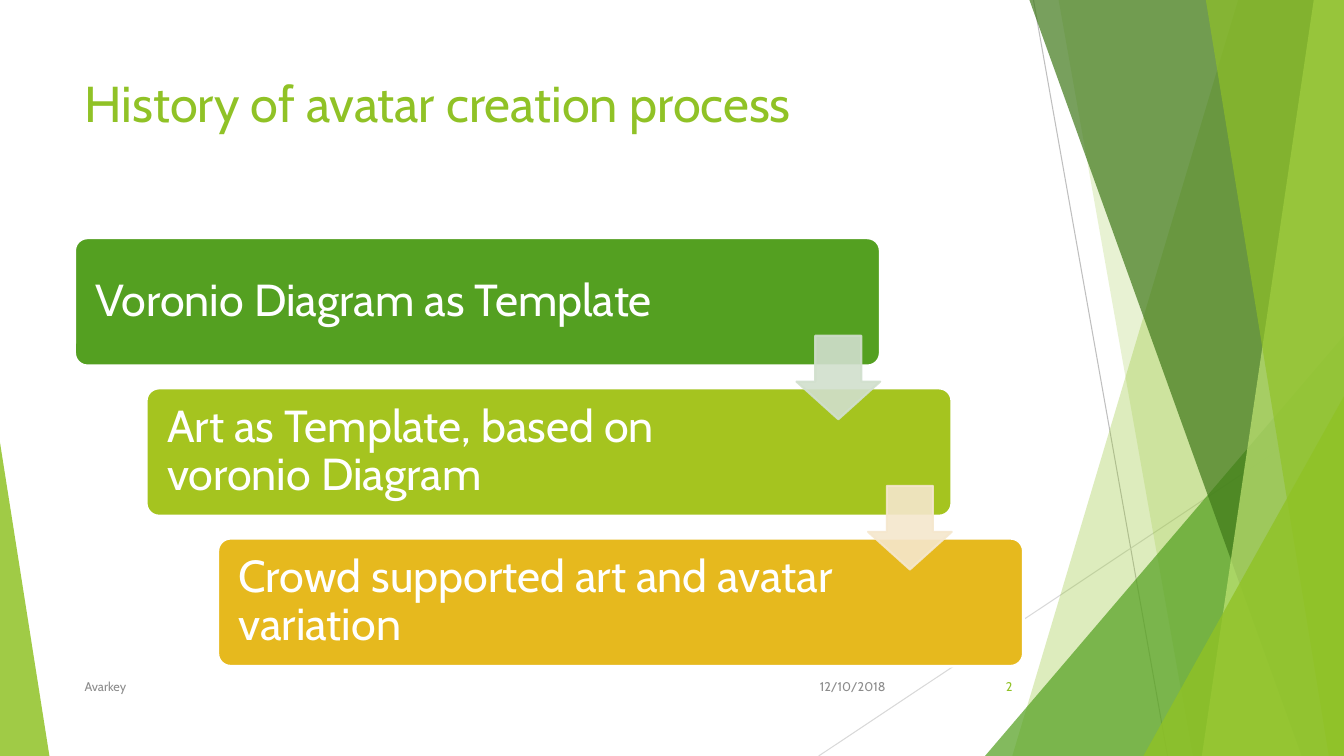
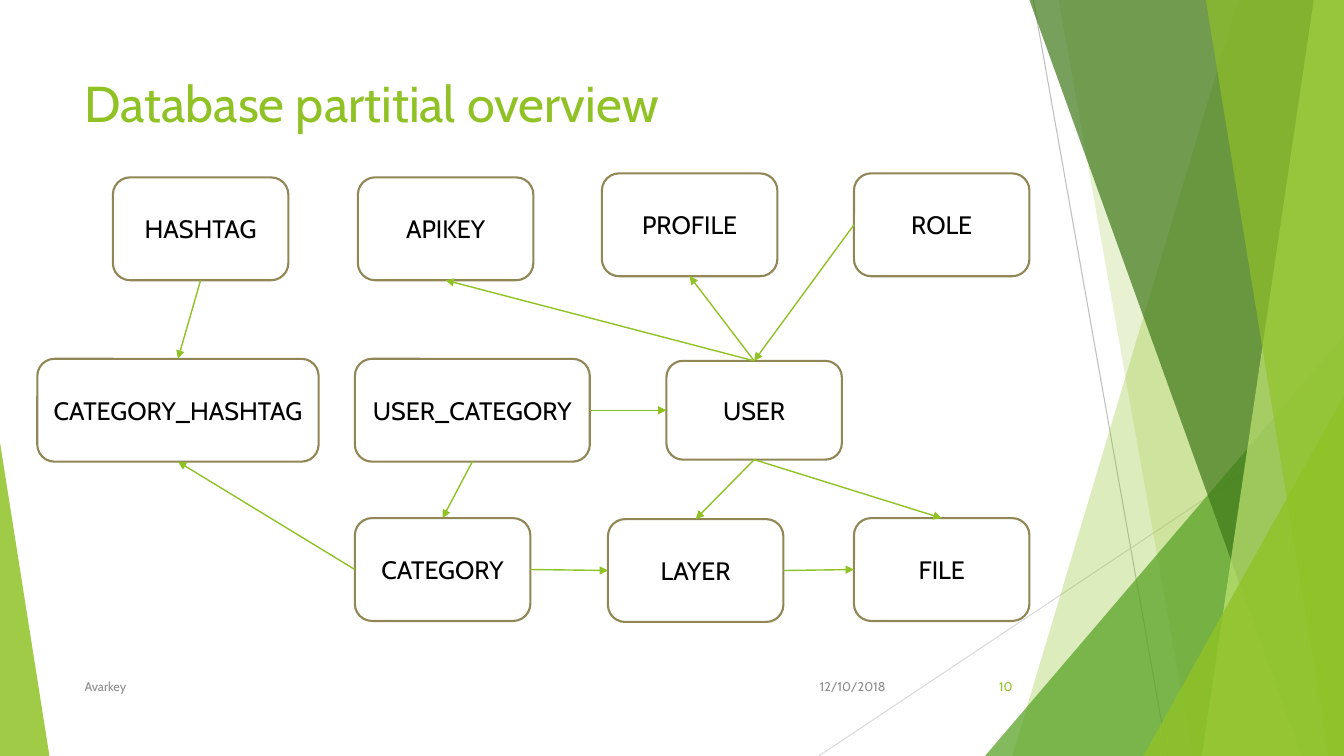
from itertools import pairwise

from lxml import etree
from pptx import Presentation
from pptx.dml.color import RGBColor
from pptx.enum.shapes import MSO_CONNECTOR, MSO_SHAPE
from pptx.enum.text import MSO_ANCHOR, PP_ALIGN
from pptx.oxml.ns import qn
from pptx.util import Inches, Pt

STRAIGHT = MSO_CONNECTOR.STRAIGHT
ROUNDED, TRIANGLE, DOWN_ARROW = (
    MSO_SHAPE.ROUNDED_RECTANGLE, MSO_SHAPE.ISOSCELES_TRIANGLE, MSO_SHAPE.DOWN_ARROW)
LEFT, CENTER, RIGHT = PP_ALIGN.LEFT, PP_ALIGN.CENTER, PP_ALIGN.RIGHT
TOP_ANCHOR, MIDDLE = MSO_ANCHOR.TOP, MSO_ANCHOR.MIDDLE
TOP_SIDE, LEFT_SIDE, BOTTOM_SIDE, RIGHT_SIDE = range(4)

FONT = "Cabin"
WIDTH, HEIGHT = 13.33, 7.5
COLORS = {
    "lime": "90C226", "green": "54A021", "forest": "3F7819", "pale": "C0E474",
    "olive": "A5C41F", "gold": "E6B91E", "mint": "D1DFCD", "cream": "F5E7CD",
    "border": "918655", "white": "FFFFFF", "black": "000000",
    "footer": "8C8C8C", "ray": "BFBFBF", "light_ray": "D9D9D9",
}

RAYS = [((10.25, 0), (11.58, HEIGHT), "ray"),
        ((WIDTH, 4.03), (8.12, HEIGHT), "light_ray")]
BACK_BANDS = [(12.28, 10.04, "lime", 30), (10.5, 11.83, "lime", 20)]
FRONT_BANDS = [(10.21, 12.91, "forest", 70), (13.03, 11.92, "pale", 70),
               (11.96, 13.18, "lime", 65)]
BACK_CORNER = ((9.77, 3.33, 3.56, 4.17), 1, "green", 72)
FRONT_CORNERS = [((11.34, 3.93, 1.99, 3.57), 1, "lime", 80),
                 ((0, 4.39, 0.49, 3.11), 0, "lime", 85)]

STEPS = [("Voronio Diagram as Template", "green"),
         ("Art as Template, based on voronio Diagram", "olive"),
         ("Crowd supported art and avatar variation", "gold")]
STEP_ARROWS = ["mint", "cream"]

ENTITIES = {
    "HASHTAG": (1.12, 1.76, 1.74, 1.02),
    "APIKEY": (3.55, 1.76, 1.74, 1.02),
    "PROFILE": (5.97, 1.72, 1.74, 1.02),
    "ROLE": (8.47, 1.72, 1.74, 1.02),
    "CATEGORY_HASHTAG": (0.37, 3.56, 2.79, 1.02),
    "USER_CATEGORY": (3.52, 3.56, 2.33, 1.02),
    "USER": (6.61, 3.58, 1.74, 0.98),
    "CATEGORY": (3.52, 5.14, 1.74, 1.02),
    "LAYER": (6.03, 5.15, 1.74, 1.02),
    "FILE": (8.47, 5.14, 1.74, 1.02),
}
RELATIONS = [
    ("ROLE", LEFT_SIDE, "USER", TOP_SIDE),
    ("USER", TOP_SIDE, "APIKEY", BOTTOM_SIDE),
    ("USER", TOP_SIDE, "PROFILE", BOTTOM_SIDE),
    ("USER", BOTTOM_SIDE, "LAYER", TOP_SIDE),
    ("HASHTAG", BOTTOM_SIDE, "CATEGORY_HASHTAG", TOP_SIDE),
    ("CATEGORY", LEFT_SIDE, "CATEGORY_HASHTAG", BOTTOM_SIDE),
    ("LAYER", RIGHT_SIDE, "FILE", LEFT_SIDE),
    ("USER_CATEGORY", RIGHT_SIDE, "USER", LEFT_SIDE),
    ("USER_CATEGORY", BOTTOM_SIDE, "CATEGORY", TOP_SIDE),
    ("USER", BOTTOM_SIDE, "FILE", TOP_SIDE),
    ("CATEGORY", RIGHT_SIDE, "LAYER", LEFT_SIDE),
]


def rgb(name):
    """Return the named colour."""
    return RGBColor.from_string(COLORS[name])


def write(frame, text, size, color, align=LEFT, anchor=MIDDLE):
    """Write one formatted run into a text frame."""
    frame.word_wrap = True
    frame.vertical_anchor = anchor
    paragraph = frame.paragraphs[0]
    paragraph.alignment = align
    run = paragraph.add_run()
    run.text = text
    run.font.name = FONT
    run.font.size = Pt(size)
    run.font.color.rgb = rgb(color)
    return paragraph


def paint(shape, fill, line=None, line_width=1, opacity=100):
    """Set fill, outline and opacity of a shape without shadow."""
    shape.shadow.inherit = False
    shape.fill.solid()
    shape.fill.fore_color.rgb = rgb(fill)
    if line:
        shape.line.color.rgb = rgb(line)
        shape.line.width = Pt(line_width)
    else:
        shape.line.fill.background()
    if opacity < 100:
        for color in shape.element.iter(qn("a:srgbClr")):
            etree.SubElement(color, qn("a:alpha"), val=str(opacity * 1000))


def add_preset(slide, kind, box, adjustments=()):
    """Add a preset shape with its adjustments."""
    shape = slide.shapes.add_shape(kind, *map(Inches, box))
    for index, value in enumerate(adjustments):
        shape.adjustments[index] = value
    return shape


def add_line(slide, start, end, color, width):
    """Add a straight line without shadow."""
    line = slide.shapes.add_connector(STRAIGHT, *map(Inches, (*start, *end)))
    line.line.color.rgb = rgb(color)
    line.line.width = Pt(width)
    etree.SubElement(line.element.spPr, qn("a:effectLst"))
    return line


def add_band(slide, top_x, bottom_x, color, opacity):
    """Add a slanted band that reaches the right edge."""
    builder = slide.shapes.build_freeform(Inches(top_x), 0)
    corners = [(WIDTH, 0), (WIDTH, HEIGHT), (bottom_x, HEIGHT)]
    builder.add_line_segments([(Inches(x), Inches(y)) for x, y in corners])
    band = builder.convert_to_shape()
    paint(band, color, opacity=opacity)
    return band


def add_corner(slide, box, apex, color, opacity):
    """Add a triangle that fills a bottom corner."""
    corner = add_preset(slide, TRIANGLE, box, [apex])
    paint(corner, color, opacity=opacity)
    return corner


def prepare_layout(layout):
    """Place the shared title and drop the unused footer placeholders."""
    title, *footers = layout.placeholders
    title.left, title.top, title.width, title.height = map(
        Inches, (0.74, 0.67, 9.4, 1.44))
    for footer in footers:
        layout.shapes.element.remove(footer.element)


def decorate_layout(layout, slide):
    """Draw the facets on a slide and move them to its layout."""
    facets = [add_line(slide, *ray, 0.75) for ray in RAYS]
    facets += [add_band(slide, *band) for band in BACK_BANDS]
    facets.append(add_corner(slide, *BACK_CORNER))
    facets += [add_band(slide, *band) for band in FRONT_BANDS]
    facets += [add_corner(slide, *corner) for corner in FRONT_CORNERS]
    for facet in facets:
        layout.shapes.element.append(facet.element)


def add_footer(slide, number):
    """Add date, project name and slide number."""
    for left, width, text, color, align in [
        (7.88, 1, "12/10/2018", "footer", RIGHT),
        (0.74, 6.89, "Avarkey", "footer", LEFT),
        (9.39, 0.75, number, "lime", RIGHT),
    ]:
        box = slide.shapes.add_textbox(*map(Inches, (left, 6.61, width, 0.4)))
        write(box.text_frame, text, 9, color, align)


def add_step(slide, index, text, color):
    """Add one box of the staircase."""
    box = (0.74 + 0.71 * index, 2.36 + 1.49 * index, 7.99, 1.27)
    step = add_preset(slide, ROUNDED, box, [0.1])
    paint(step, color, "white", 2)
    frame = step.text_frame
    frame.margin_left, frame.margin_right = Inches(0.17), Inches(1.7)
    write(frame, text, 32, "white").line_spacing = 0.9


def add_step_arrow(slide, index, color):
    """Add the arrow from one step to the next."""
    box = (7.9 + 0.71 * index, 3.33 + 1.49 * index, 0.83, 0.83)
    arrow = add_preset(slide, DOWN_ARROW, box, [0.55, 0.45])
    paint(arrow, color, color, 1.5, 90)


def add_entity(slide, name, box):
    """Add one database entity."""
    entity = add_preset(slide, ROUNDED, box)
    paint(entity, "white", "border", 1.5)
    write(entity.text_frame, name, 18, "black", CENTER)
    return entity


def add_relation(slide, source, source_side, target, target_side):
    """Join two entities with an arrow."""
    relation = add_line(slide, (0, 0), (1, 1), "lime", 1)
    relation.begin_connect(source, source_side)
    relation.end_connect(target, target_side)
    outline = relation.element.spPr.find(qn("a:ln"))
    etree.SubElement(outline, qn("a:tailEnd"), type="triangle")


def add_titled_slide(deck, layout, title):
    """Add a slide with a formatted title."""
    slide = deck.slides.add_slide(layout)
    write(slide.shapes.title.text_frame, title, 36, "lime", anchor=TOP_ANCHOR)
    return slide


def build_history(slide):
    """Draw the staircase of the avatar creation process."""
    for index, (text, color) in enumerate(STEPS):
        add_step(slide, index, text, color)
    for index, color in enumerate(STEP_ARROWS):
        add_step_arrow(slide, index, color)
    add_footer(slide, "2")


def build_database(slide):
    """Draw the entities and their relations."""
    entities = {name: add_entity(slide, name, box) for name, box in ENTITIES.items()}
    for source, source_side, target, target_side in RELATIONS:
        add_relation(slide, entities[source], source_side, entities[target], target_side)
    add_footer(slide, "10")


def main():
    """Build and save the deck."""
    deck = Presentation()
    deck.slide_width, deck.slide_height = Inches(WIDTH), Inches(HEIGHT)
    layout = deck.slide_layouts[5]
    prepare_layout(layout)
    history = add_titled_slide(deck, layout, "History of avatar creation process")
    decorate_layout(layout, history)
    build_history(history)
    build_database(add_titled_slide(deck, layout, "Database partitial overview"))
    deck.save("out.pptx")


if __name__ == "__main__":
    main()
